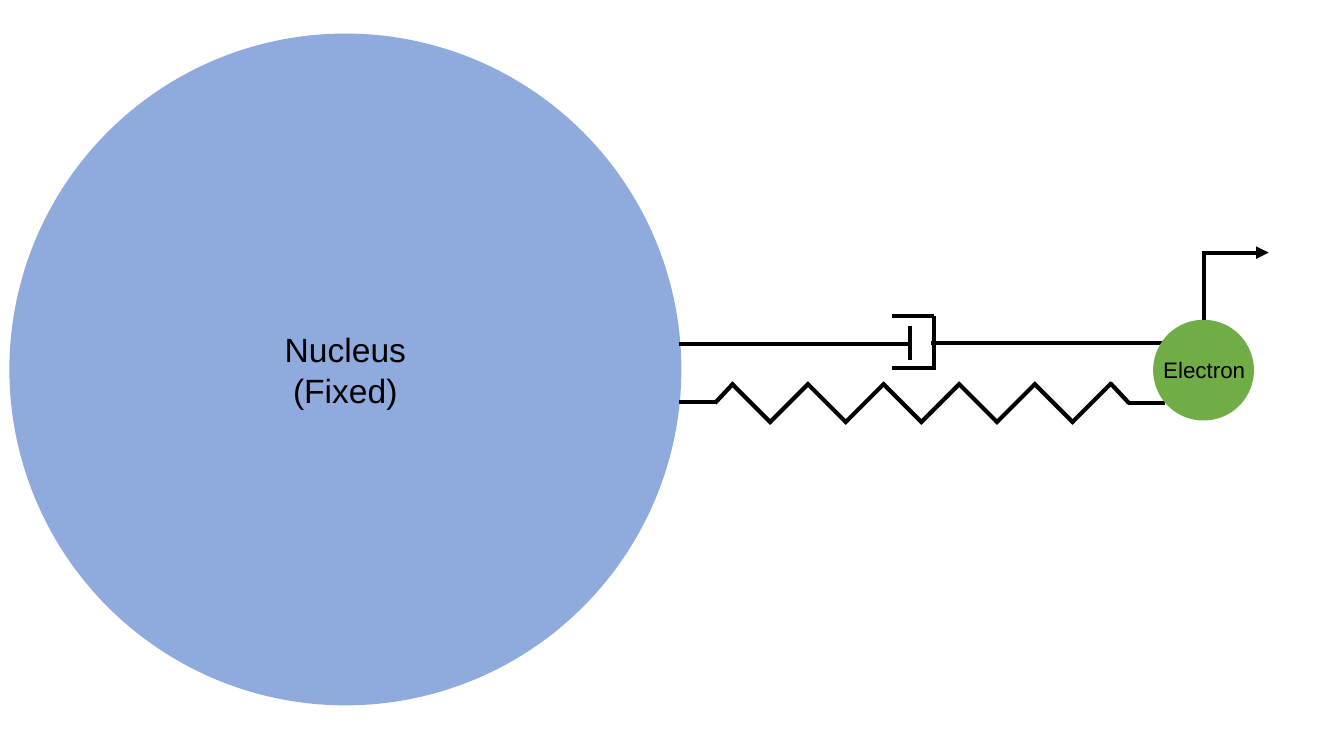
from typing import NamedTuple

from lxml.etree import SubElement
from pptx import Presentation
from pptx.dml.color import RGBColor
from pptx.enum.shapes import MSO_CONNECTOR, MSO_SHAPE
from pptx.enum.text import MSO_ANCHOR, MSO_AUTO_SIZE, PP_ALIGN
from pptx.oxml.ns import qn
from pptx.util import Inches, Pt

BLACK, BLUE, GREEN = "000000", "8FAADC", "70AD47"


class Line(NamedTuple):
    x1: float
    y1: float
    x2: float
    y2: float
    arrow: bool = False


class Ball(NamedTuple):
    left: float
    top: float
    size: float
    fill: str


NUCLEUS = Ball(0.07, 0.25, 5, BLUE)
ELECTRON = Ball(8.58, 2.38, 0.75, GREEN)

DAMPER = [
    Line(5.05, 2.56, 6.78, 2.56),  # rod
    Line(6.77, 2.43, 6.77, 2.68),  # piston
    Line(6.95, 2.35, 6.95, 2.75),  # cylinder
    Line(6.64, 2.35, 6.95, 2.35),
    Line(6.64, 2.74, 6.95, 2.74),
    Line(6.93, 2.55, 8.66, 2.55),  # rod to the electron
]
DISPLACEMENT = [
    Line(8.96, 2.38, 8.96, 1.88),
    Line(8.94, 1.88, 9.44, 1.88, arrow=True),
]


def spring_lines() -> list[Line]:
    """Two straight ends joined by equal zigzag turns."""
    turns, pitch, start, half = 5, 0.5625, 5.44, 0.3
    mid, top, bottom = 3, 2.85, 3.15
    lines = [Line(5.05, 2.99, 5.33, 2.99), Line(5.32, mid, 5.46, top)]
    for i in range(turns):
        x = start + i * pitch
        valley = x + pitch / 2
        lines.append(Line(x, top, x + half, bottom))
        lines.append(Line(valley, bottom, valley + half, top))
    return lines + [Line(8.26, top, 8.4, mid), Line(8.39, mid, 8.67, mid)]


def color(value: str) -> RGBColor:
    return RGBColor.from_string(value)


def draw_line(shapes, line: Line) -> None:
    ends = [Inches(v) for v in line[:4]]
    cn = shapes.add_connector(MSO_CONNECTOR.STRAIGHT, *ends)
    cn.line.color.rgb = color(BLACK)
    cn.line.width = Pt(2.25)
    if line.arrow:
        SubElement(cn.line._get_or_add_ln(), qn("a:tailEnd"), type="triangle")
    SubElement(cn._element.spPr, qn("a:effectLst"))


def draw_ball(shapes, ball: Ball):
    sp = shapes.add_shape(MSO_SHAPE.OVAL, Inches(ball.left), Inches(ball.top),
                          Inches(ball.size), Inches(ball.size))
    sp.shadow.inherit = False
    sp.fill.solid()
    sp.fill.fore_color.rgb = color(ball.fill)
    sp.line.fill.background()
    return sp


def write(tf, lines: list[str], size: float) -> None:
    for i, text in enumerate(lines):
        p = tf.paragraphs[0] if i == 0 else tf.add_paragraph()
        p.alignment = PP_ALIGN.CENTER
        r = p.add_run()
        r.text = text
        for name, value in {"name": "Arial", "size": Pt(size)}.items():
            setattr(r.font, name, value)
        r.font.color.rgb = color(BLACK)


def main() -> None:
    prs = Presentation()
    prs.slide_width, prs.slide_height = Inches(10), Inches(5.5)
    shapes = prs.slides.add_slide(prs.slide_layouts[6]).shapes

    # Nucleus
    nucleus = draw_ball(shapes, NUCLEUS)
    nucleus.text_frame.vertical_anchor = MSO_ANCHOR.MIDDLE
    write(nucleus.text_frame, ["Nucleus", "(Fixed)"], 18)

    # Damper and spring
    for line in DAMPER + spring_lines():
        draw_line(shapes, line)

    # Electron, with a label slightly wider than the ball
    draw_ball(shapes, ELECTRON)
    label = shapes.add_textbox(Inches(8.55), Inches(2.6), Inches(0.82), Inches(0.3))
    tf = label.text_frame
    tf.word_wrap = False
    tf.auto_size = MSO_AUTO_SIZE.SHAPE_TO_FIT_TEXT
    write(tf, ["Electron"], 12)

    # Displacement arrow
    for line in DISPLACEMENT:
        draw_line(shapes, line)

    prs.save("out.pptx")


if __name__ == "__main__":
    main()
